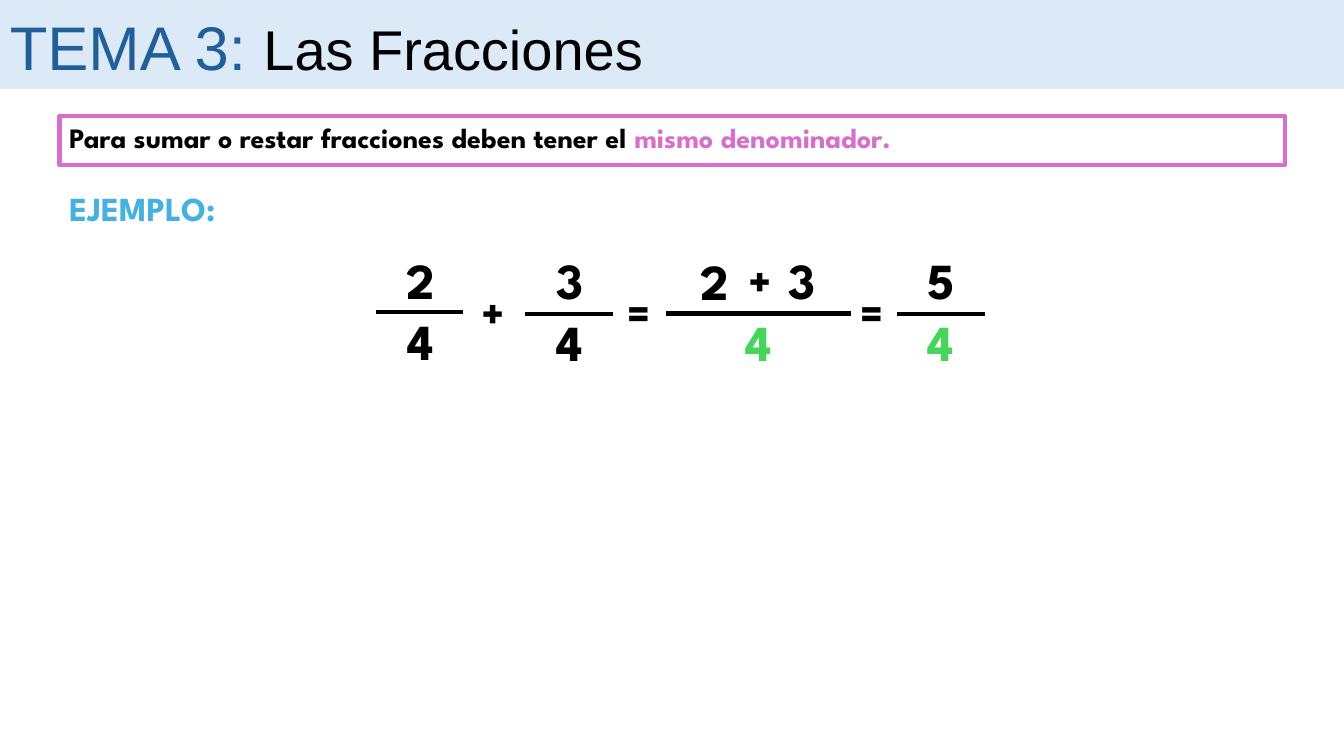
from pptx import Presentation
from pptx.dml.color import RGBColor
from pptx.enum.shapes import MSO_CONNECTOR, MSO_SHAPE
from pptx.enum.text import MSO_AUTO_SIZE, PP_ALIGN
from pptx.oxml.ns import qn
from pptx.util import Cm, Pt
from lxml import etree

RECTANGLE = MSO_SHAPE.RECTANGLE
STRAIGHT = MSO_CONNECTOR.STRAIGHT
FIT_SHAPE = MSO_AUTO_SIZE.SHAPE_TO_FIT_TEXT
LEFT = PP_ALIGN.LEFT
CENTER = PP_ALIGN.CENTER

BLACK = RGBColor(0x00, 0x00, 0x00)
PINK = RGBColor(0xD8, 0x6E, 0xCC)
SKY = RGBColor(0x46, 0xB1, 0xE1)
GREEN = RGBColor(0x47, 0xD4, 0x5A)
PALE_BLUE = RGBColor(0xDC, 0xEA, 0xF7)
NAVY = RGBColor(0x21, 0x5F, 0x9A)

deck = Presentation()
deck.slide_width = Cm(33.87)
deck.slide_height = Cm(19.05)
page = deck.slides.add_slide(deck.slide_layouts[6])


def add_text(text, left, top, width, height, size=36, color=BLACK,
             font="League Spartan", bold=True, align=CENTER, tail=None):
    box = page.shapes.add_textbox(Cm(left), Cm(top), Cm(width), Cm(height))
    box.text_frame.word_wrap = True
    box.text_frame.auto_size = FIT_SHAPE
    para = box.text_frame.paragraphs[0]
    para.alignment = align
    spans = [(text, size, color)]
    if tail:
        spans.append(tail)
    for words, points, shade in spans:
        span = para.add_run()
        span.text = words
        span.font.name = font
        span.font.size = Pt(points)
        span.font.bold = bold
        span.font.color.rgb = shade


rule_frame = page.shapes.add_shape(RECTANGLE, Cm(1.5), Cm(2.92), Cm(30.89), Cm(1.24))
rule_frame.shadow.inherit = False
rule_frame.fill.background()
rule_frame.line.color.rgb = PINK
rule_frame.line.width = Pt(3)
add_text("Para sumar o restar fracciones deben tener el ", 1.5, 2.92, 30.89, 1.12,
         size=20, align=LEFT, tail=("mismo denominador.", 20, PINK))
add_text("EJEMPLO:", 1.5, 4.62, 5.44, 1.27, size=24, color=SKY, align=LEFT)

digits = [
    ("2", 9.45, 6.15, BLACK), ("4", 9.45, 7.7, BLACK),
    ("3", 13.21, 6.15, BLACK), ("4", 13.21, 7.72, BLACK),
    ("2", 16.87, 6.17, BLACK), ("3", 19.08, 6.15, BLACK), ("4", 17.98, 7.72, GREEN),
    ("5", 22.56, 6.15, BLACK), ("4", 22.56, 7.72, GREEN),
]
for digit, left, top, color in digits:
    add_text(digit, left, top, 2.29, 1.8, color=color)

operators = [("+", 11.46, 7.04), ("=", 15.14, 7.06), ("+", 18.19, 6.25), ("=", 21.01, 7.06)]
for sign, left, top in operators:
    add_text(sign, left, top, 1.96, 1.63, size=32)

fraction_bars = [(9.47, 7.87, 2.21), (13.23, 7.92, 2.21), (16.79, 7.9, 4.65), (22.61, 7.92, 2.21)]
for left, top, length in fraction_bars:
    bar = page.shapes.add_connector(STRAIGHT, Cm(left), Cm(top), Cm(left + length), Cm(top))
    bar.line.color.rgb = BLACK
    bar.line.width = Pt(3)
    etree.SubElement(bar._element.spPr, qn("a:effectLst"))

banner = page.shapes.add_shape(RECTANGLE, 0, 0, deck.slide_width, Cm(2.24))
banner.shadow.inherit = False
banner.fill.solid()
banner.fill.fore_color.rgb = PALE_BLUE
banner.line.fill.background()
add_text("TEMA 3: ", 0, 0.1, 30.1, 2.13, size=44, color=NAVY, font="Arial",
         bold=False, align=LEFT, tail=("Las Fracciones", 40, BLACK))

deck.save("out.pptx")
